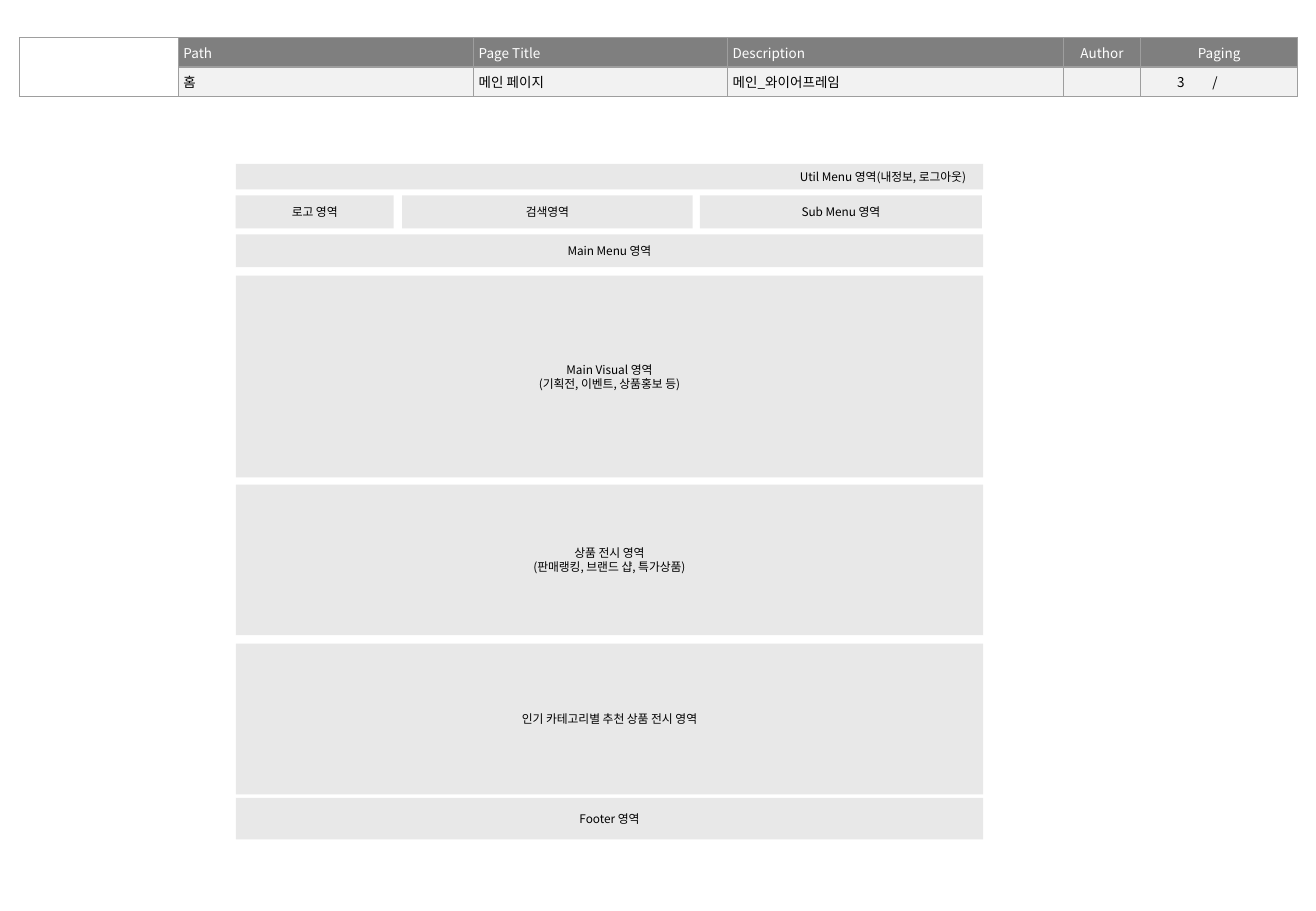
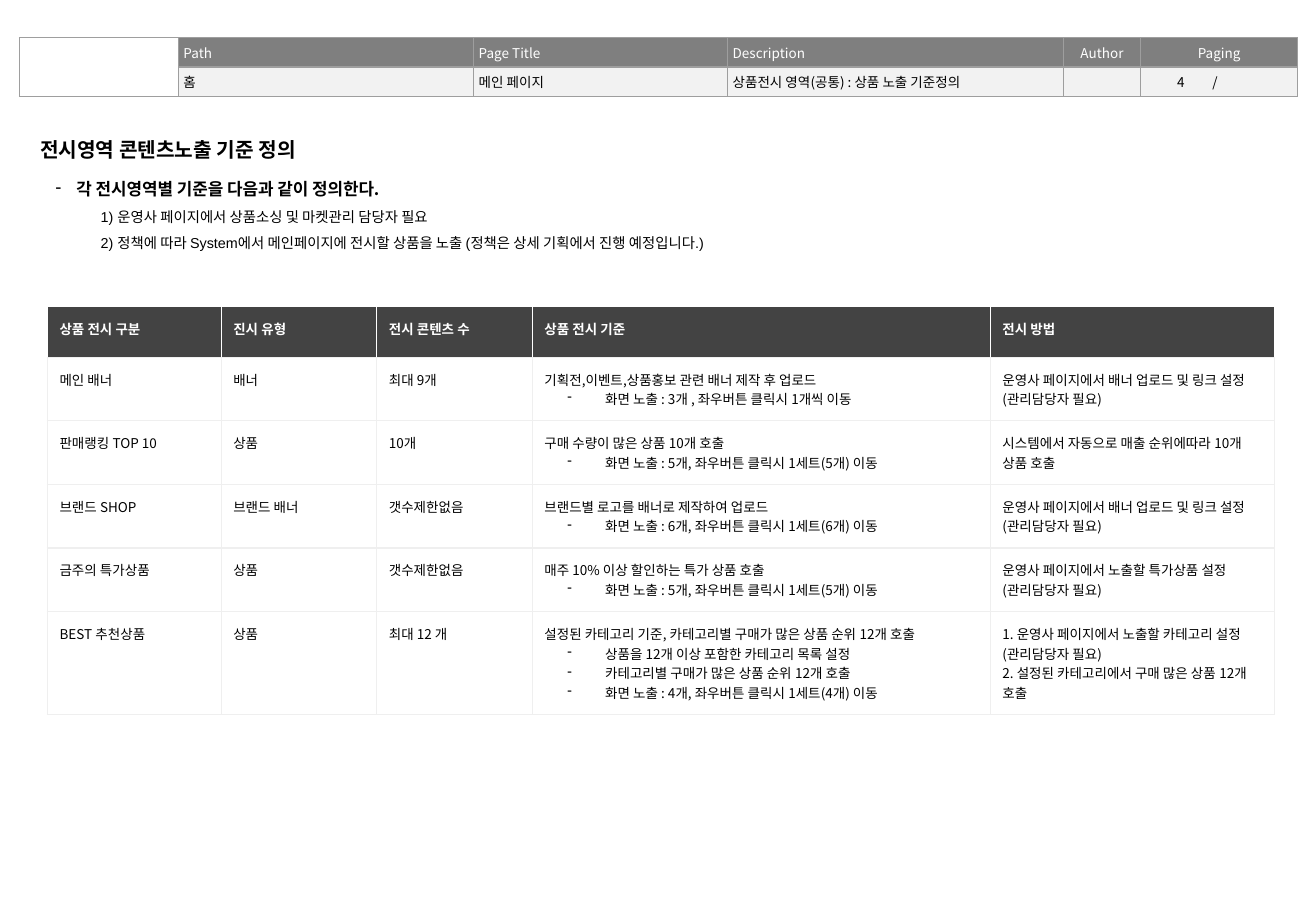
from pptx import Presentation
from pptx.dml.color import RGBColor
from pptx.enum.shapes import MSO_SHAPE
from pptx.enum.text import MSO_ANCHOR, MSO_AUTO_SIZE, PP_ALIGN
from pptx.oxml.ns import qn
from pptx.util import Inches, Pt
from lxml import etree

LEFT, CENTER, RIGHT = PP_ALIGN.LEFT, PP_ALIGN.CENTER, PP_ALIGN.RIGHT
TOP, MIDDLE = MSO_ANCHOR.TOP, MSO_ANCHOR.MIDDLE
RECTANGLE = MSO_SHAPE.RECTANGLE
NO_AUTOFIT = MSO_AUTO_SIZE.NONE
FONT = "Noto Sans CJK KR"
COLORS = {
    "black": "000000", "white": "FFFFFF", "area": "E8E8E8",
    "band": "7F7F7F", "band_value": "F2F2F2", "band_line": "9E9E9E",
    "head": "434343", "grid": "EFEFEF",
}


def write(frame, text, size, color="black", bold=False, align=LEFT, font=FONT, indent=(0.5, -0.31)):
    frame.text = text
    frame.word_wrap = True
    for para in frame.paragraphs:
        para.alignment = align
        if para.text.startswith("- "):
            para.text = para.text[2:]
            props = para._p.get_or_add_pPr()
            props.set("marL", str(Inches(indent[0])))
            props.set("indent", str(Inches(indent[1])))
            tint = etree.SubElement(props, qn("a:buClr"))
            etree.SubElement(tint, qn("a:srgbClr"), val=COLORS["black"])
            etree.SubElement(props, qn("a:buChar"), char="-")
        for span in para.runs:
            span.font.size = Pt(size)
            span.font.bold = bold
            span.font.name = font
            span.font.color.rgb = RGBColor.from_string(COLORS[color])
            etree.SubElement(span._r.get_or_add_rPr(), qn("a:ea"), typeface=FONT)
        if not para.runs:
            etree.SubElement(para._p, qn("a:endParaRPr"), sz=str(int(size * 100)))


def dress(cell, fill, edges, margin, anchor):
    cell.margin_left = cell.margin_right = Inches(margin)
    cell.margin_top = cell.margin_bottom = Inches(margin)
    cell.vertical_anchor = anchor
    if fill:
        cell.fill.solid()
        cell.fill.fore_color.rgb = RGBColor.from_string(COLORS[fill])
    else:
        cell.fill.background()
    props = cell._tc.get_or_add_tcPr()
    for position, (side, color) in enumerate(zip("LRTB", edges)):
        line = etree.Element(qn(f"a:ln{side}"), w=str(Pt(0.75)))
        if color:
            paint = etree.SubElement(line, qn("a:solidFill"))
            etree.SubElement(paint, qn("a:srgbClr"), val=COLORS[color])
        else:
            etree.SubElement(line, qn("a:noFill"))
        props.insert(position, line)


deck = Presentation()
deck.slide_width, deck.slide_height = Inches(10.83), Inches(7.5)
TITLE_ONLY, BLANK = deck.slide_layouts[5], deck.slide_layouts[6]
wireframe_page = deck.slides.add_slide(BLANK)
criteria_page = deck.slides.add_slide(TITLE_ONLY)

band_widths = [1.31, 2.43, 2.09, 2.76, 0.64, 0.4, 0.42, 0.47]
band_labels = ["", "Path", "Page Title", "Description", "Author", "Paging", "", ""]
band_aligns = [
    [LEFT] * 4 + [CENTER] * 4,
    [LEFT] * 4 + [CENTER, RIGHT, CENTER, CENTER],
]
paging_edges = {
    5: ["band_line", None, "band_line", "band_line"],
    6: [None, None, "band_line", "band_line"],
    7: [None, "band_line", "band_line", "band_line"],
}
for page, description, number in [
    (wireframe_page, "메인_와이어프레임", "3"),
    (criteria_page, "상품전시 영역(공통) : 상품 노출 기준정의", "4"),
]:
    band = page.shapes.add_table(
        2, 8, Inches(0.16), Inches(0.31), Inches(10.51), Inches(0.48)).table
    band.first_row = band.horz_banding = False
    for column, width in zip(band.columns, band_widths):
        column.width = Inches(width)
    values = ["", "홈", "메인 페이지", description, "", number, "/", ""]
    for row, texts in enumerate([band_labels, values]):
        for col, text in enumerate(texts):
            cell = band.cell(row, col)
            write(cell.text_frame, text, 8, "black" if row else "white", align=band_aligns[row][col])
            fill = ("band_value" if row else "band") if col else None
            edges = paging_edges.get(col) if row else None
            dress(cell, fill, edges or ["band_line"] * 4, 0.04, MIDDLE)
    band.cell(0, 0).merge(band.cell(1, 0))
    band.cell(0, 5).merge(band.cell(0, 7))

areas = [
    (1.94, 1.35, 6.15, 0.21, "Util Menu 영역(내정보, 로그아웃)"),
    (1.94, 1.61, 1.3, 0.27, "로고 영역"),
    (3.31, 1.61, 2.39, 0.27, "검색영역"),
    (5.76, 1.61, 2.32, 0.27, "Sub Menu 영역"),
    (1.94, 1.93, 6.15, 0.27, "Main Menu 영역"),
    (1.94, 2.27, 6.15, 1.66, "Main Visual 영역\n(기획전, 이벤트, 상품홍보 등)"),
    (1.94, 3.99, 6.15, 1.24, "상품 전시 영역\n(판매랭킹, 브랜드 샵, 특가상품)"),
    (1.94, 5.3, 6.15, 1.24, "인기 카테고리별 추천 상품 전시 영역"),
    (1.94, 6.57, 6.15, 0.34, "Footer 영역"),
]
for left, top, width, height, label in areas:
    area = wireframe_page.shapes.add_shape(
        RECTANGLE, Inches(left), Inches(top), Inches(width), Inches(height))
    area.shadow.inherit = False
    area.fill.solid()
    area.fill.fore_color.rgb = RGBColor.from_string(COLORS["area"])
    area.line.fill.background()
    is_util = label.startswith("Util")
    frame = area.text_frame
    frame.vertical_anchor = MIDDLE
    frame.margin_left = frame.margin_top = frame.margin_bottom = Inches(0.1)
    frame.margin_right = Inches(0.14 if is_util else 0.1)
    write(frame, label, 7, align=RIGHT if is_util else CENTER)

title = criteria_page.shapes.title
title.left, title.top, title.width, title.height = (
    Inches(0.23), Inches(0.93), Inches(10.28), Inches(0.46))
intro = criteria_page.shapes.add_textbox(
    Inches(0.23), Inches(1.29), Inches(10.28), Inches(0.76))
write(title.text_frame, "전시영역 콘텐츠노출 기준 정의", 12, bold=True)
write(intro.text_frame, "\n".join([
    "- 각 전시영역별 기준을 다음과 같이 정의한다.",
    "1) 운영사 페이지에서 상품소싱 및 마켓관리 담당자 필요",
    "2) 정책에 따라 System에서 메인페이지에 전시할 상품을 노출 (정책은 상세 기획에서 진행 예정입니다.)",
]), 8.5, font="Arial", indent=(0.3, -0.17))
for frame in (title.text_frame, intro.text_frame):
    frame.auto_size = NO_AUTOFIT
    frame.vertical_anchor = TOP
    frame.margin_left = frame.margin_right = Inches(0.1)
    frame.margin_top = frame.margin_bottom = Inches(0.1)
    for para in frame.paragraphs:
        para.line_spacing = 1.5
lead, *steps = intro.text_frame.paragraphs
lead.runs[0].font.size = Pt(10)
lead.runs[0].font.bold = True
lead.runs[0].font.name = FONT
for step in steps:
    step._p.get_or_add_pPr().set("marL", str(Inches(0.5)))
    step._p.get_or_add_pPr().set("indent", "0")

banner_method = "운영사 페이지에서 배너 업로드 및 링크 설정(관리담당자 필요)"
criteria = [
    ["상품 전시 구분", "진시 유형", "전시 콘텐츠 수", "상품 전시 기준", "전시 방법"],
    ["메인 배너", "배너", "최대 9개",
     "기획전,이벤트,상품홍보 관련 배너 제작 후 업로드\n- 화면 노출 : 3개 , 좌우버튼 클릭시 1개씩 이동",
     banner_method],
    ["판매랭킹 TOP 10", "상품", "10개",
     "구매 수량이 많은 상품 10개 호출\n- 화면 노출 : 5개, 좌우버튼 클릭시 1세트(5개) 이동",
     "시스템에서 자동으로 매출 순위에따라 10개 상품 호출"],
    ["브랜드 SHOP", "브랜드 배너", "갯수제한없음",
     "브랜드별 로고를 배너로 제작하여 업로드\n- 화면 노출 : 6개, 좌우버튼 클릭시 1세트(6개) 이동",
     banner_method],
    ["금주의 특가상품", "상품", "갯수제한없음",
     "매주 10% 이상 할인하는 특가 상품 호출\n- 화면 노출 : 5개, 좌우버튼 클릭시 1세트(5개) 이동",
     "운영사 페이지에서 노출할 특가상품 설정 (관리담당자 필요)"],
    ["BEST 추천상품", "상품", "최대 12 개",
     "설정된 카테고리 기준, 카테고리별 구매가 많은 상품 순위 12개 호출\n"
     "- 상품을 12개 이상 포함한 카테고리 목록 설정\n"
     "- 카테고리별 구매가 많은 상품 순위 12개 호출\n"
     "- 화면 노출 : 4개, 좌우버튼 클릭시 1세트(4개) 이동",
     "1. 운영사 페이지에서 노출할 카테고리 설정 (관리담당자 필요)\n"
     "2. 설정된 카테고리에서 구매 많은 상품 12개 호출"],
]
criteria_frame = criteria_page.shapes.add_table(
    6, 5, Inches(0.39), Inches(2.52), Inches(10.1), Inches(3.15))
grid = criteria_frame.table
grid.first_row = grid.horz_banding = False
for column, width in zip(grid.columns, [1.43, 1.28, 1.28, 3.77, 2.34]):
    column.width = Inches(width)
for row, texts in enumerate(criteria):
    grid.rows[row].height = Inches(0.42)
    is_head = row == 0
    edges = ["white"] * 3 + ["grid"] if is_head else ["grid"] * 4
    for col, text in enumerate(texts):
        cell = grid.cell(row, col)
        write(cell.text_frame, text, 8, "white" if is_head else "black", is_head)
        dress(cell, "head" if is_head else None, edges, 0.1, TOP)
criteria_frame.height = Inches(3.15)

deck.save("out.pptx")
